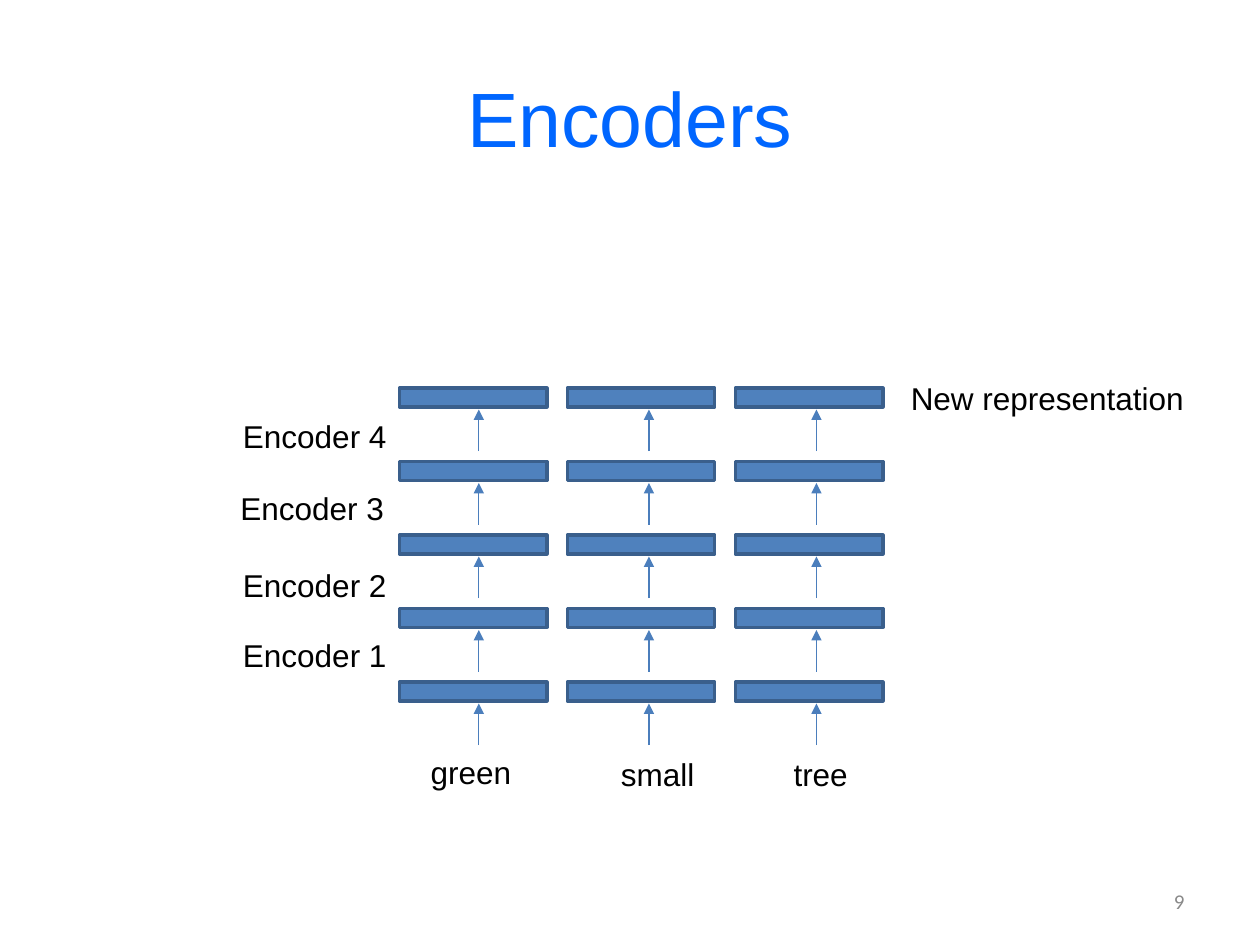
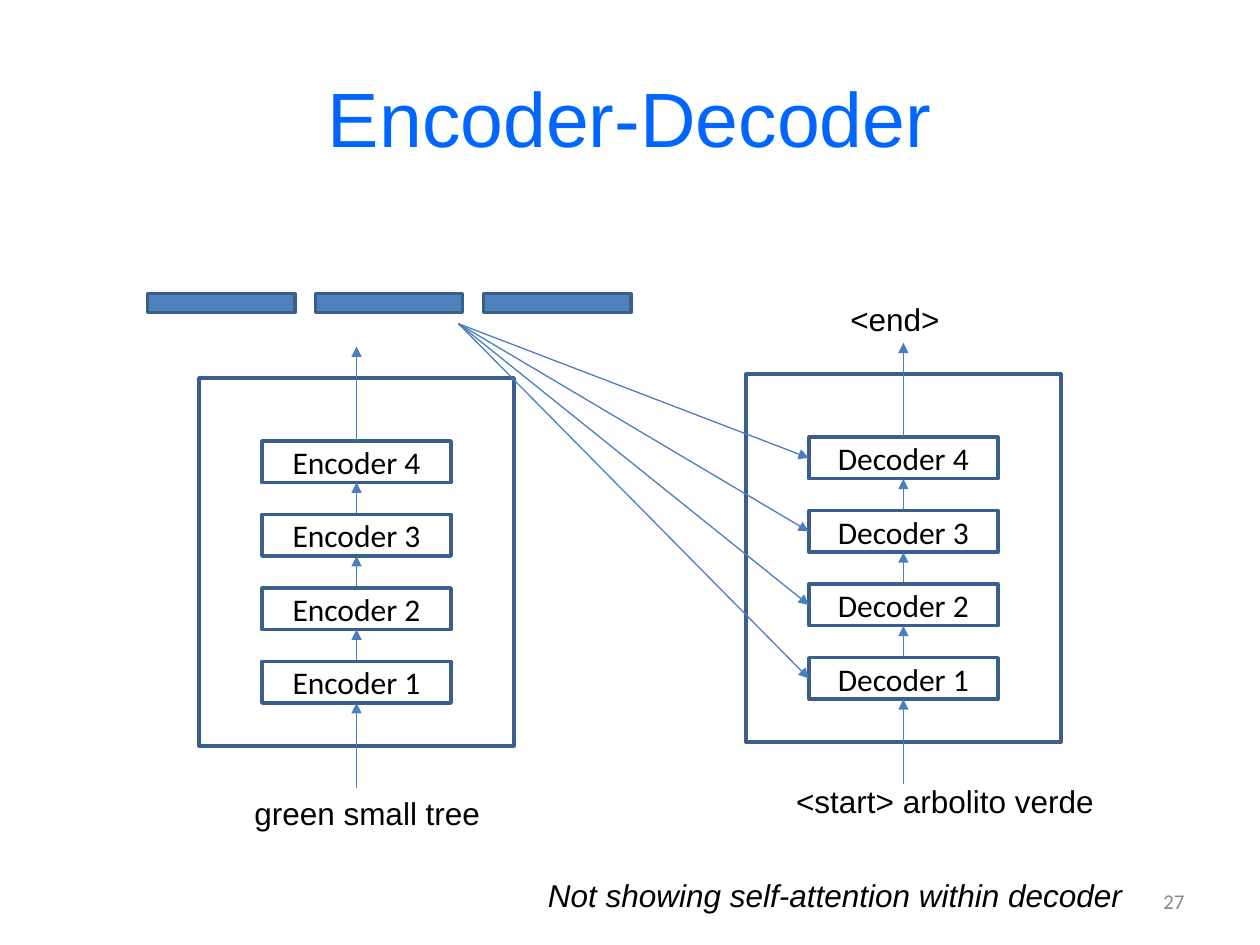
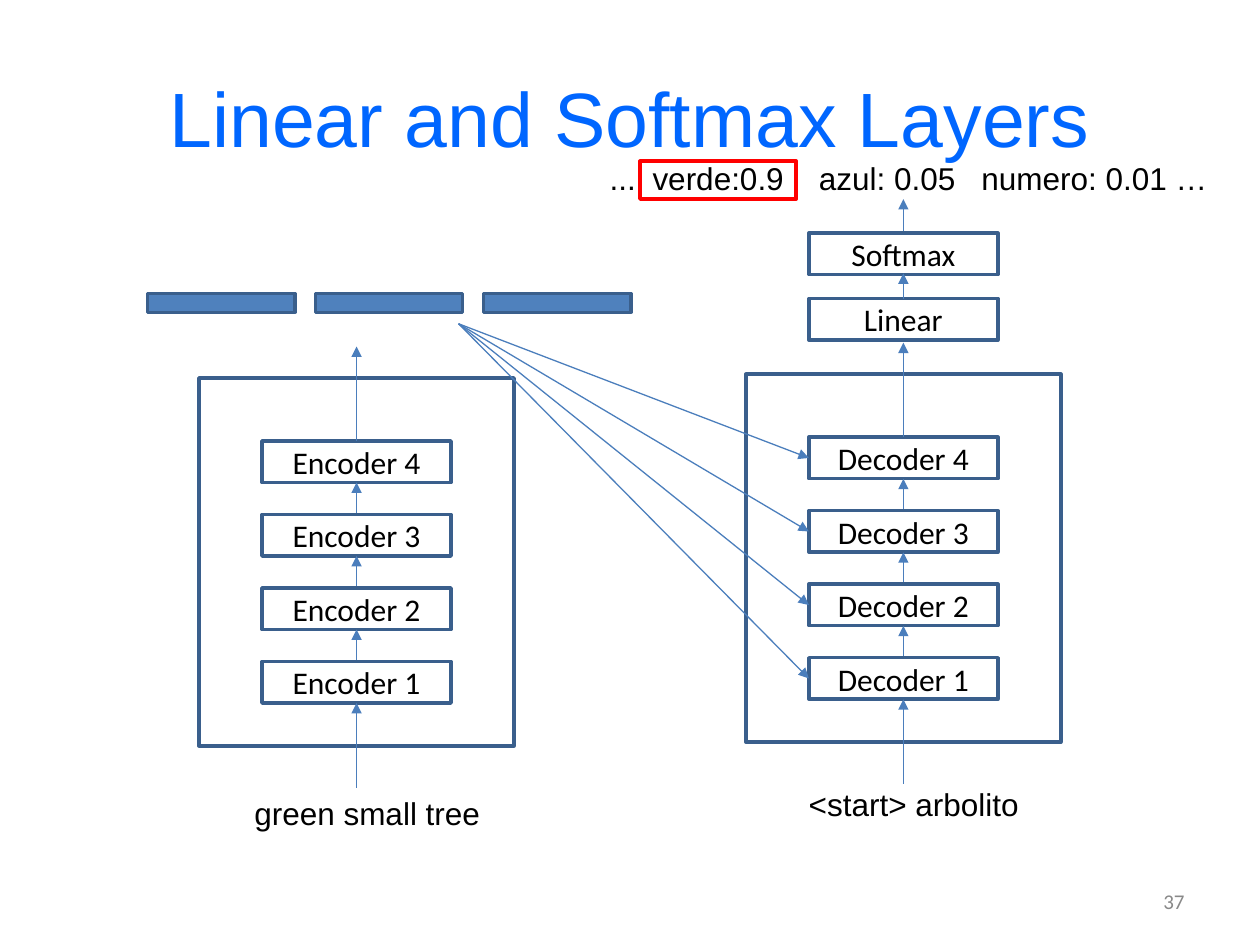
from lxml.etree import SubElement
from pptx import Presentation
from pptx.dml.color import RGBColor
from pptx.enum.shapes import MSO_CONNECTOR, MSO_SHAPE
from pptx.enum.text import MSO_ANCHOR, PP_ALIGN
from pptx.oxml.ns import qn
from pptx.util import Inches, Pt

TITLE_BLUE = RGBColor(0x00, 0x66, 0xFF)
BAR_BLUE = RGBColor(0x4F, 0x81, 0xBD)
BORDER_BLUE = RGBColor(0x3A, 0x5F, 0x8C)
ARROW_BLUE = RGBColor(0x4B, 0x7E, 0xBC)
NUMBER_GRAY = RGBColor(0x89, 0x89, 0x89)
RED = RGBColor(0xFF, 0x00, 0x00)
BLACK = RGBColor(0x00, 0x00, 0x00)

LAYER_COUNT = 4
LAYER_STEP = Inches(7 / 12)
BAR_STEP = Inches(4 / 3)
BAR_WIDTH, BAR_HEIGHT = Inches(1.17), Inches(0.15)
BLOCK_WIDTH, BLOCK_HEIGHT = Inches(1.5), Inches(0.33)
FRAME_WIDTH, FRAME_HEIGHT = Inches(2.5), Inches(2.92)
BLOCK_INSET = Inches(0.5)
LABEL_HEIGHT = Inches(0.4)


def add_run(paragraph, text, size=18, font="Arial", color=BLACK, italic=None):
    """Append a formatted run to a paragraph."""
    run = paragraph.add_run()
    run.text = text
    run.font.size = Pt(size)
    run.font.name = font
    run.font.color.rgb = color
    run.font.italic = italic


def add_label(slide, text, left, top, width, italic=None):
    """Add a one-line text box and return it."""
    label = slide.shapes.add_textbox(left, top, width, LABEL_HEIGHT)
    label.text_frame.word_wrap = False
    add_run(label.text_frame.paragraphs[0], text, italic=italic)
    return label


def add_rectangle(slide, left, top, width, height, fill=None, border=BORDER_BLUE):
    """Add an outlined rectangle, hollow unless a fill is given."""
    shape = slide.shapes.add_shape(MSO_SHAPE.RECTANGLE, left, top, width, height)
    shape.shadow.inherit = False
    if fill is None:
        shape.fill.background()
    else:
        shape.fill.solid()
        shape.fill.fore_color.rgb = fill
    shape.line.color.rgb = border
    shape.line.width = Pt(2)
    return shape


def add_block(slide, text, left, top):
    """Add a hollow network layer with its name centred."""
    block = add_rectangle(slide, left, top, BLOCK_WIDTH, BLOCK_HEIGHT)
    block.text_frame.vertical_anchor = MSO_ANCHOR.MIDDLE
    paragraph = block.text_frame.paragraphs[0]
    paragraph.alignment = PP_ALIGN.CENTER
    add_run(paragraph, text, font="Calibri")


def add_arrow(slide, start_x, start_y, end_x, end_y):
    """Add a thin arrow pointing at its end."""
    arrow = slide.shapes.add_connector(
        MSO_CONNECTOR.STRAIGHT, start_x, start_y, end_x, end_y)
    arrow.line.color.rgb = ARROW_BLUE
    arrow.line.width = Pt(0.75)
    SubElement(arrow.line._get_or_add_ln(), qn("a:tailEnd"), type="triangle")
    SubElement(arrow._element.spPr, qn("a:effectLst"))


def add_bar_row(slide, left, top):
    """Add the three filled vectors, one for each word."""
    for column in range(3):
        add_rectangle(slide, left + column * BAR_STEP, top,
                      BAR_WIDTH, BAR_HEIGHT, fill=BAR_BLUE)


def add_titled_slide(presentation, title, number):
    """Add a slide with the shared title style and slide number."""
    slide = presentation.slides.add_slide(presentation.slide_layouts[5])
    shape = slide.shapes.title
    shape.left, shape.top = Inches(0.5), Inches(0.3)
    shape.width, shape.height = Inches(9), Inches(1.25)
    shape.text_frame.vertical_anchor = MSO_ANCHOR.MIDDLE
    paragraph = shape.text_frame.paragraphs[0]
    paragraph.alignment = PP_ALIGN.CENTER
    add_run(paragraph, title, size=44, color=TITLE_BLUE)

    footer = slide.shapes.add_textbox(
        Inches(7.17), Inches(6.95), Inches(2.33), LABEL_HEIGHT)
    footer.text_frame.word_wrap = True
    footer.text_frame.vertical_anchor = MSO_ANCHOR.MIDDLE
    paragraph = footer.text_frame.paragraphs[0]
    paragraph.alignment = PP_ALIGN.RIGHT
    add_run(paragraph, number, size=12, font="Calibri", color=NUMBER_GRAY)
    return slide


def add_vector_grid(slide, left, top):
    """Add rows of vectors, each fed by arrows from below."""
    for row in range(LAYER_COUNT + 1):
        row_top = top + row * LAYER_STEP
        add_bar_row(slide, left, row_top)
        for offset in (0.63, 1.98, 3.31):
            arrow_x = left + Inches(offset)
            add_arrow(slide, arrow_x, row_top + Inches(0.5),
                      arrow_x, row_top + Inches(0.17))


def add_layer_stack(slide, name, left, top):
    """Add a frame holding four linked layers, numbered from the bottom."""
    center = left + FRAME_WIDTH // 2
    add_rectangle(slide, left, top, FRAME_WIDTH, FRAME_HEIGHT)
    for row in range(LAYER_COUNT):
        block_top = top + BLOCK_INSET + row * LAYER_STEP
        block_bottom = block_top + BLOCK_HEIGHT
        is_lowest = row == LAYER_COUNT - 1
        source = top + Inches(3.25) if is_lowest else block_top + LAYER_STEP
        add_block(slide, f"{name} {LAYER_COUNT - row}", left + BLOCK_INSET, block_top)
        add_arrow(slide, center, source, center, block_bottom)
    add_arrow(slide, center, top + BLOCK_INSET, center, top - Inches(0.25))


def add_attention(slide, start_x, start_y, decoder_left, decoder_top):
    """Fan arrows from the encoder output to every decoder layer."""
    for row in range(LAYER_COUNT):
        target_y = decoder_top + BLOCK_INSET + row * LAYER_STEP + BLOCK_HEIGHT // 2
        add_arrow(slide, start_x, start_y, decoder_left + BLOCK_INSET, target_y)


def add_translation_model(slide):
    """Add the encoder, its output vectors and the attending decoder."""
    decoder_left, decoder_top = Inches(5.92), Inches(2.97)
    add_layer_stack(slide, "Encoder", Inches(1.58), Inches(3))
    add_label(slide, "green small tree", Inches(1.92), Inches(6.25), Inches(2.01))
    add_layer_stack(slide, "Decoder", decoder_left, decoder_top)
    add_attention(slide, Inches(3.64), Inches(2.57), decoder_left, decoder_top)
    add_bar_row(slide, Inches(1.17), Inches(2.33))


def add_predictions(slide, left, top):
    """Add the word probabilities on tab stops, with the best one outlined."""
    label = add_label(slide, "...\tverde:0.9\tazul: 0.05\tnumero: 0.01 …",
                      left, top, Inches(5.28))
    label.text_frame.word_wrap = True
    properties = label.text_frame.paragraphs[0]._p.get_or_add_pPr()
    tab_list = SubElement(properties, qn("a:tabLst"))
    for position in (0.34, 1.66, 2.95):
        SubElement(tab_list, qn("a:tab"), pos=str(Inches(position)), algn="l")
    add_rectangle(slide, left + Inches(0.34), top + Inches(0.07),
                  Inches(1.24), Inches(0.3), border=RED)


def add_output_layers(slide, left, top):
    """Add the softmax layer above the linear one, with arrows upward."""
    center = left + BLOCK_WIDTH // 2
    linear_top = top + Inches(0.52)
    add_block(slide, "Linear", left, linear_top)
    add_block(slide, "Softmax", left, top)
    add_arrow(slide, center, top - Inches(0.02), center, top - Inches(0.27))
    add_arrow(slide, center, linear_top, center, top + Inches(0.32))


def build_encoders_slide(presentation):
    """Build the slide on stacked encoders."""
    slide = add_titled_slide(presentation, "Encoders", "9")
    add_vector_grid(slide, Inches(3.17), Inches(3.08))
    for text, left, top, width in (
        ("green", 3.32, 5.93, 0.85),
        ("small", 4.83, 5.94, 0.79),
        ("tree", 6.2, 5.94, 0.64),
        ("Encoder 1", 1.83, 5, 1.35),
        ("Encoder 2", 1.83, 4.44, 1.35),
        ("Encoder 3", 1.81, 3.83, 1.35),
        ("Encoder 4", 1.83, 3.26, 1.35),
        ("New representation", 7.13, 2.96, 2.39),
    ):
        add_label(slide, text, Inches(left), Inches(top), Inches(width))


def build_encoder_decoder_slide(presentation):
    """Build the slide on the encoder-decoder pair."""
    slide = add_titled_slide(presentation, "Encoder-Decoder", "27")
    add_translation_model(slide)
    add_label(slide, "<start> arbolito verde", Inches(6.22), Inches(6.16), Inches(2.59))
    add_label(slide, "<end>", Inches(6.65), Inches(2.33), Inches(0.92))
    add_label(slide, "Not showing self-attention within decoder",
              Inches(4.25), Inches(6.9), Inches(4.8), italic=True)


def build_softmax_slide(presentation):
    """Build the slide on the output layers."""
    slide = add_titled_slide(presentation, "Linear and Softmax Layers", "37")
    add_translation_model(slide)
    add_label(slide, "<start> arbolito", Inches(6.32), Inches(6.18), Inches(1.88))
    add_output_layers(slide, Inches(6.42), Inches(1.85))
    add_predictions(slide, Inches(4.74), Inches(1.21))


def main():
    """Build and save the presentation."""
    presentation = Presentation()
    presentation.slide_width, presentation.slide_height = Inches(10), Inches(7.5)
    build_encoders_slide(presentation)
    build_encoder_decoder_slide(presentation)
    build_softmax_slide(presentation)
    presentation.save("out.pptx")


main()
